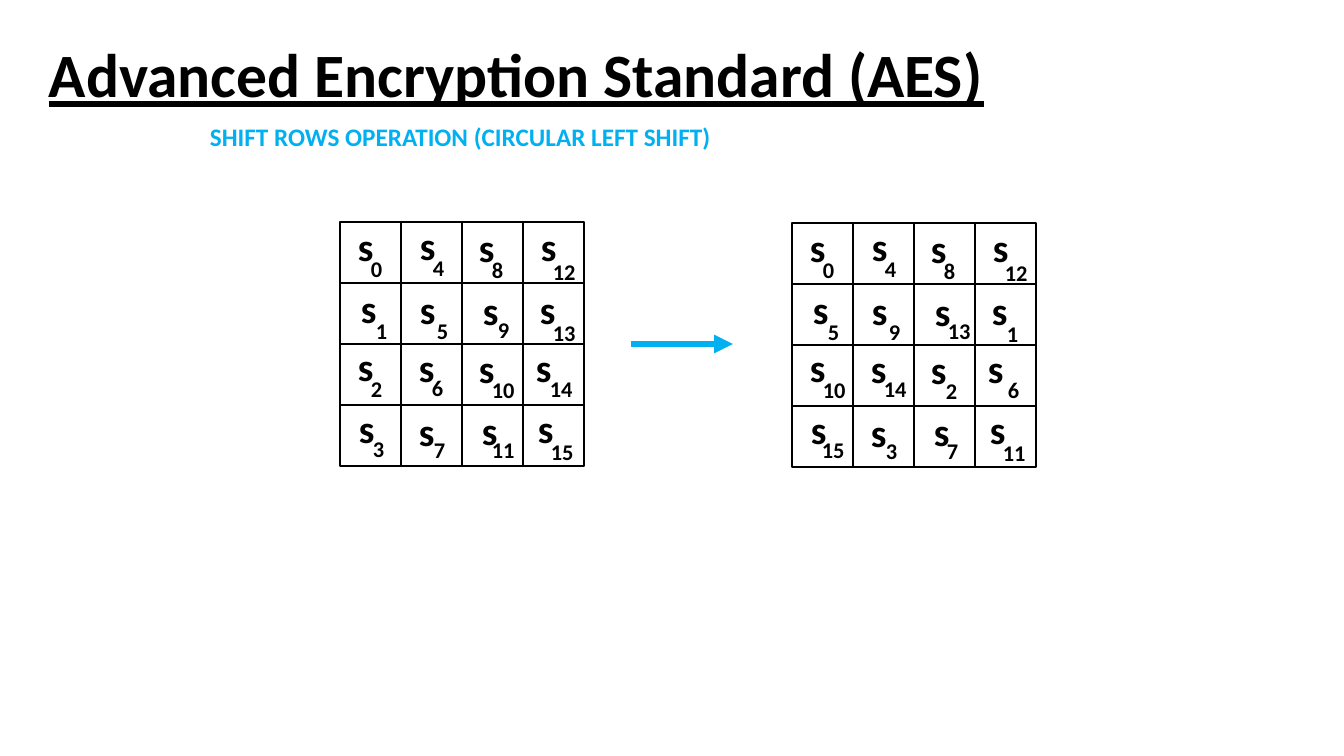
from lxml.etree import SubElement
from pptx import Presentation
from pptx.dml.color import RGBColor
from pptx.enum.shapes import MSO_CONNECTOR, MSO_SHAPE
from pptx.enum.text import MSO_ANCHOR, MSO_AUTO_SIZE
from pptx.oxml.ns import qn
from pptx.util import Pt

PX = 914400 / 100.8
BLACK = RGBColor(0x00, 0x00, 0x00)
WHITE = RGBColor(0xFF, 0xFF, 0xFF)
BLUE = RGBColor(0x00, 0xB0, 0xF0)
CELL = 61


def px(*lengths):
    return [round(n * PX) for n in lengths]


def add_text(text, x, y, w, h, size, color=BLACK, wrap=False, underline=None):
    tf = slide.shapes.add_textbox(*px(x, y, w, h)).text_frame
    tf.word_wrap = wrap
    tf.auto_size = MSO_AUTO_SIZE.NONE if wrap else MSO_AUTO_SIZE.SHAPE_TO_FIT_TEXT
    r = tf.paragraphs[0].add_run()
    r.text = text
    r.font.color.rgb = color
    style = {"name": "Calibri", "size": Pt(size), "bold": True, "underline": underline}
    for key, value in style.items():
        setattr(r.font, key, value)
    return tf


prs = Presentation()
prs.slide_width, prs.slide_height = px(1344, 756)
slide = prs.slides.add_slide(prs.slide_layouts[6])

# Title and subtitle
tf = add_text("Advanced Encryption Standard (AES)", 39, 5, 1159, 146, 44,
              wrap=True, underline=True)
tf.vertical_anchor = MSO_ANCHOR.MIDDLE
tf.paragraphs[0].line_spacing = 0.9
add_text("SHIFT ROWS OPERATION (CIRCULAR LEFT SHIFT)", 200, 116, 525, 72, 18, BLUE)

# Offsets of the letter and its index inside each cell, row by row
LETTER = [
    [(8, -5), (9, -6), (7, -4), (8, -5)],
    [(11, -4), (9, -3), (11, -2), (7, -3)],
    [(8, -7), (8, -6), (7, -5), (3, -6)],
    [(9, -6), (8, -3), (10, -4), (5, -6)],
]
INDEX_Y = [[28, 27, 29, 31], [29, 29, 28, 31], [26, 25, 27, 26], [25, 26, 26, 28]]
INDEX_X = [
    [[21, 22, 20, 20], [26, 26, 26, 20], [21, 21, 20, 17], [23, 23, 20, 18]],
    [[21, 22, 20, 20], [26, 26, 24, 22], [21, 21, 22, 23], [20, 23, 23, 18]],
]

# State matrices: row r of the second one is rotated left by r cells
for shift, (left, top) in enumerate([(340, 222), (792, 223)]):
    grid = [(row, col, left + col * CELL, top + row * CELL)
            for row in range(4) for col in range(4)]
    for row, col, x, y in grid:
        sp = slide.shapes.add_shape(MSO_SHAPE.RECTANGLE, *px(x, y, CELL, CELL))
        sp.shadow.inherit = False
        sp.fill.solid()
        sp.fill.fore_color.rgb = WHITE
        sp.line.color.rgb = BLACK
        sp.line.width = Pt(1)
    for row, col, x, y in grid:
        dx, dy = LETTER[row][col]
        add_text("s", x + dx, y + dy, 36, 57, 28)
        index = str(row + 4 * ((col + shift * row) % 4))
        add_text(index, x + INDEX_X[shift][row][col], y + INDEX_Y[row][col],
                 21 + 11 * len(index), 37, 16)

# Arrow between the matrices
arrow = slide.shapes.add_connector(MSO_CONNECTOR.STRAIGHT, *px(631, 344, 733, 344))
arrow.line.color.rgb = BLUE
arrow.line.width = Pt(4.5)
SubElement(arrow.line._get_or_add_ln(), qn("a:tailEnd"), type="triangle")
SubElement(arrow._element.spPr, qn("a:effectLst"))

prs.save("out.pptx")
